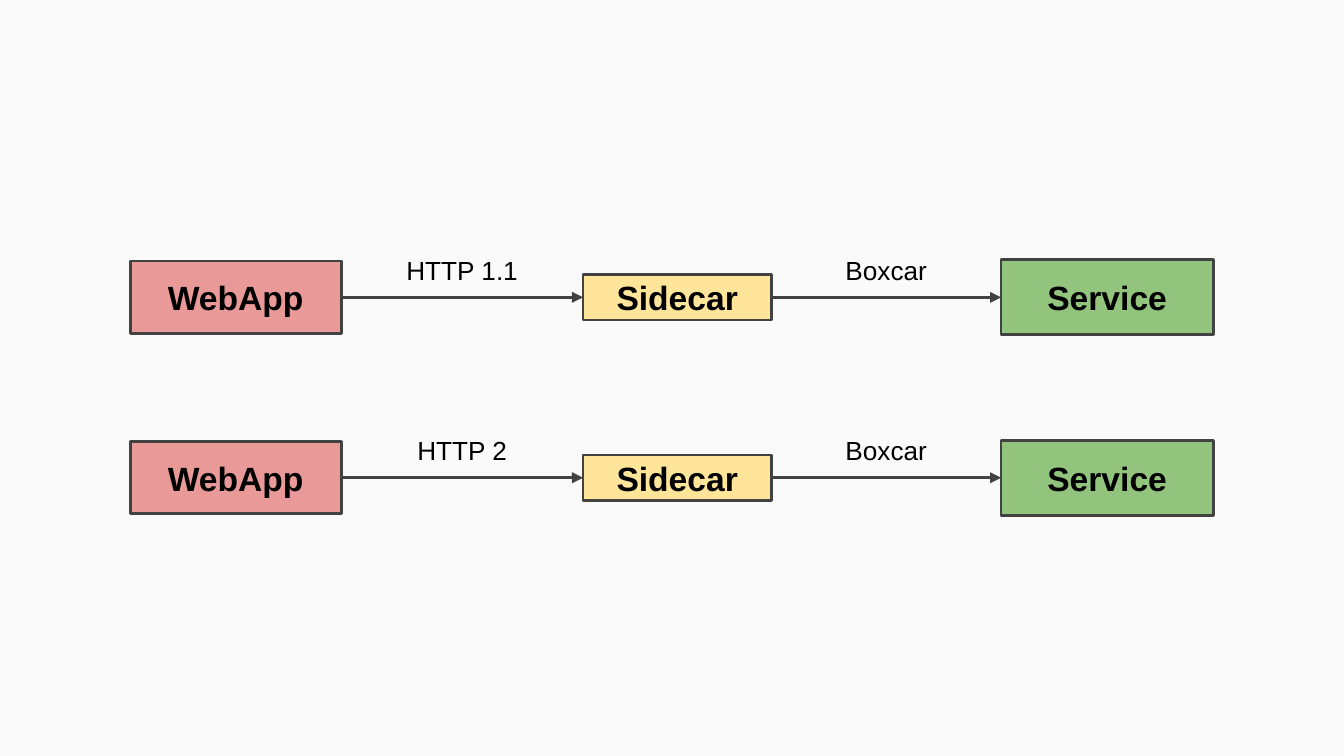
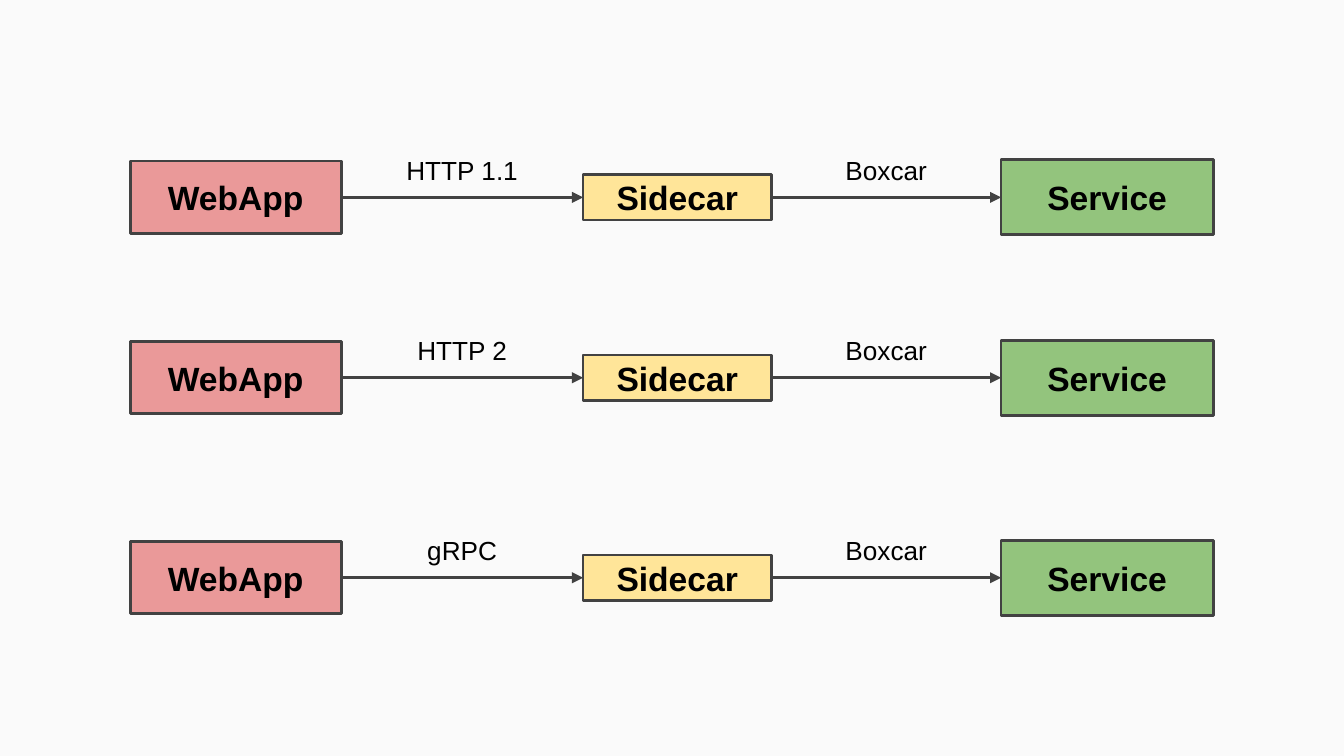
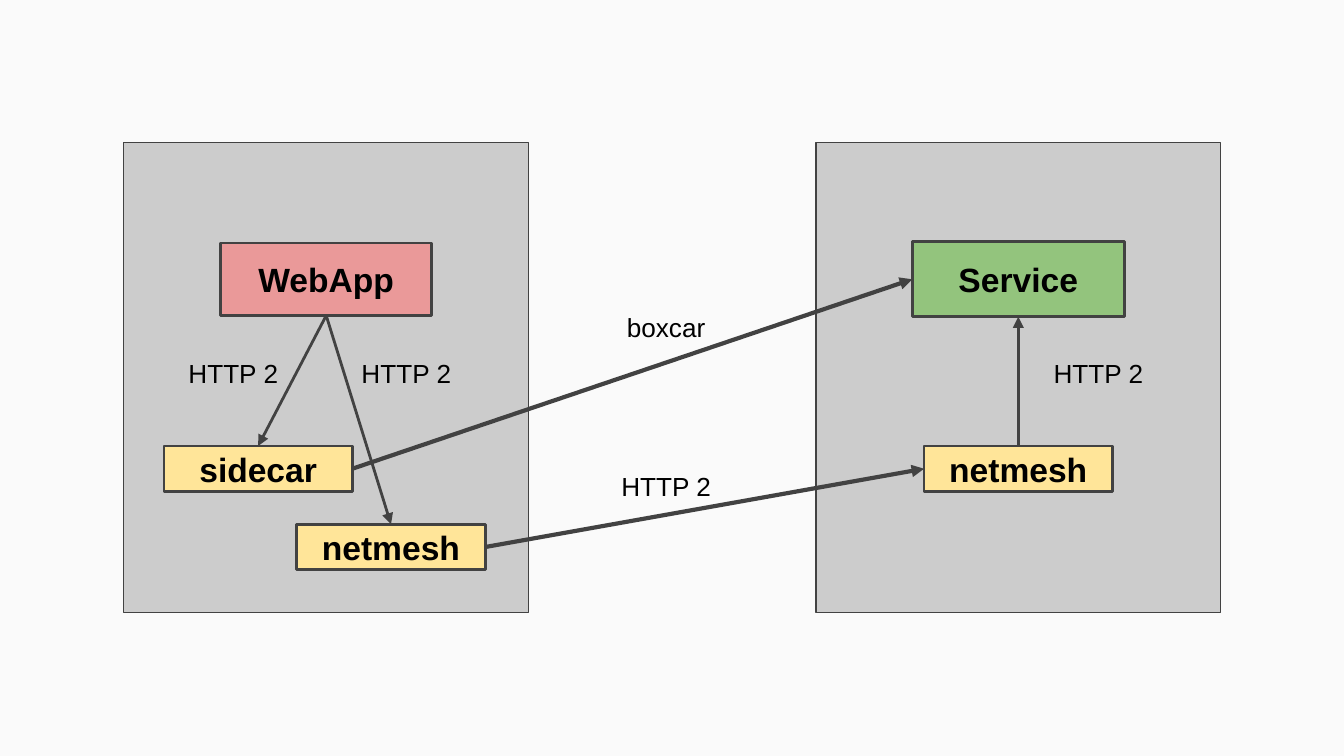
from collections import namedtuple

from lxml.etree import SubElement
from pptx import Presentation
from pptx.dml.color import RGBColor
from pptx.enum.shapes import MSO_CONNECTOR, MSO_SHAPE
from pptx.enum.text import MSO_ANCHOR, PP_ALIGN
from pptx.oxml.ns import qn
from pptx.util import Cm, Pt

COLORS = {
    "background": "FAFAFA",
    "host": "CCCCCC",
    "webapp": "EA9999",
    "sidecar": "FFE599",
    "service": "93C47D",
    "line": "424242",
    "text": "000000",
}
NODE_SIZES = {"webapp": (3.99, 1.37), "sidecar": (3.56, 0.86), "service": (4.01, 1.42)}
LABEL_SIZE = (3.02, 0.86)
FONT = "Arial"
INSET = 0.25
TOP, LEFT, BOTTOM, RIGHT = range(4)

Box = namedtuple("Box", "left top width height")


def color(name):
    """Return the named colour as an RGBColor."""
    return RGBColor.from_string(COLORS[name])


def centered_box(center_x, center_y, size):
    """Return the box of the given size around a centre point."""
    width, height = size
    return Box(center_x - width / 2, center_y - height / 2, width, height)


def write_text(shape, text, *, size, bold=False, anchor=MSO_ANCHOR.TOP):
    """Put one centred paragraph into a shape."""
    frame = shape.text_frame
    frame.word_wrap = True
    frame.vertical_anchor = anchor
    frame.margin_left = frame.margin_right = Cm(INSET)
    frame.margin_top = frame.margin_bottom = Cm(INSET)
    paragraph = frame.paragraphs[0]
    paragraph.alignment = PP_ALIGN.CENTER
    run = paragraph.add_run()
    run.text = text
    run.font.name = FONT
    run.font.size = Pt(size)
    run.font.bold = bold
    run.font.color.rgb = color("text")


def add_rectangle(slide, box, fill, line_width):
    """Add a filled, outlined rectangle."""
    shape = slide.shapes.add_shape(MSO_SHAPE.RECTANGLE, *map(Cm, box))
    shape.shadow.inherit = False
    shape.fill.solid()
    shape.fill.fore_color.rgb = color(fill)
    shape.line.color.rgb = color("line")
    shape.line.width = Pt(line_width)
    return shape


def add_node(slide, kind, text, center_x, center_y):
    """Add a named component around a centre point."""
    box = centered_box(center_x, center_y, NODE_SIZES[kind])
    shape = add_rectangle(slide, box, kind, 1.5)
    write_text(shape, text, size=18, bold=True, anchor=MSO_ANCHOR.MIDDLE)
    return shape


def add_label(slide, text, center_x, center_y):
    """Add a protocol label around a centre point."""
    box = centered_box(center_x, center_y, LABEL_SIZE)
    write_text(slide.shapes.add_textbox(*map(Cm, box)), text, size=14)


def add_arrow(slide, start, start_side, end, end_side, line_width=1.5):
    """Join the sides of two shapes with an arrow."""
    arrow = slide.shapes.add_connector(MSO_CONNECTOR.STRAIGHT, 0, 0, 0, 0)
    arrow.begin_connect(start, start_side)
    arrow.end_connect(end, end_side)
    arrow.line.color.rgb = color("line")
    arrow.line.width = Pt(line_width)
    SubElement(arrow.line._get_or_add_ln(), qn("a:tailEnd"), type="triangle")
    SubElement(arrow._element.spPr, qn("a:effectLst"))
    return arrow


def add_request_row(slide, box, protocol):
    """Draw one WebApp, Sidecar, Service chain inside a box."""
    center_y = box.top + box.height / 2
    webapp_x = box.left + NODE_SIZES["webapp"][0] / 2
    sidecar_x = box.left + 10.34
    service_x = box.left + box.width - NODE_SIZES["service"][0] / 2
    nodes = [
        add_node(slide, "webapp", "WebApp", webapp_x, center_y),
        add_node(slide, "sidecar", "Sidecar", sidecar_x, center_y),
        add_node(slide, "service", "Service", service_x, center_y),
    ]
    for start, end, text in zip(nodes, nodes[1:], (protocol, "Boxcar")):
        arrow = add_arrow(slide, start, RIGHT, end, LEFT)
        middle = (arrow.begin_x + arrow.end_x) / 2
        add_label(slide, text, middle / Cm(1), center_y - 0.64)


def add_rows_slide(presentation, rows):
    """Add a slide of request rows, given as top and protocol."""
    slide = add_blank_slide(presentation)
    for top, protocol in rows:
        add_request_row(slide, Box(2.46, top, 20.47, 1.42), protocol)


def add_client_host(slide, box):
    """Draw the calling host and return its two proxies."""
    add_rectangle(slide, box, "host", 0.75)
    webapp = add_node(slide, "webapp", "WebApp", box.left + box.width / 2, box.top + 2.59)
    proxies = []
    for text, x, y, label_x in (("sidecar", 2.54, 6.17, 2.07), ("netmesh", 5.05, 7.65, 5.34)):
        proxy = add_node(slide, "sidecar", text, box.left + x, box.top + y)
        add_arrow(slide, webapp, BOTTOM, proxy, TOP)
        add_label(slide, "HTTP 2", box.left + label_x, box.top + 4.24)
        proxies.append(proxy)
    return proxies


def add_server_host(slide, box):
    """Draw the called host and return its service and proxy."""
    add_rectangle(slide, box, "host", 0.75)
    center_x = box.left + box.width / 2
    service = add_node(slide, "service", "Service", center_x, box.top + 2.59)
    proxy = add_node(slide, "sidecar", "netmesh", center_x, box.top + 6.17)
    add_arrow(slide, proxy, TOP, service, BOTTOM)
    add_label(slide, "HTTP 2", box.left + 5.34, box.top + 4.24)
    return service, proxy


def add_hosts_slide(presentation):
    """Add the slide with two hosts and the traffic between them."""
    slide = add_blank_slide(presentation)
    client = Box(2.34, 2.69, 7.65, 8.89)
    server = client._replace(left=15.42)
    sources = add_client_host(slide, client)
    targets = add_server_host(slide, server)
    for source, target, text, y in zip(sources, targets, ("boxcar", "HTTP 2"), (3.38, 6.38)):
        add_arrow(slide, source, RIGHT, target, LEFT, line_width=2.25)
        add_label(slide, text, client.left + client.width + 2.6, client.top + y)


def add_blank_slide(presentation):
    """Add a slide on the blank layout."""
    return presentation.slides.add_slide(presentation.slide_layouts[6])


def main():
    """Build and save the presentation."""
    presentation = Presentation()
    presentation.slide_width = Cm(25.4)
    presentation.slide_height = Cm(14.29)
    background = presentation.slide_master.background.fill
    background.solid()
    background.fore_color.rgb = color("background")
    add_rows_slide(presentation, [(4.91, "HTTP 1.1"), (8.32, "HTTP 2")])
    add_rows_slide(presentation, [(3.02, "HTTP 1.1"), (6.43, "HTTP 2"), (10.21, "gRPC")])
    add_hosts_slide(presentation)
    presentation.save("out.pptx")


if __name__ == "__main__":
    main()
